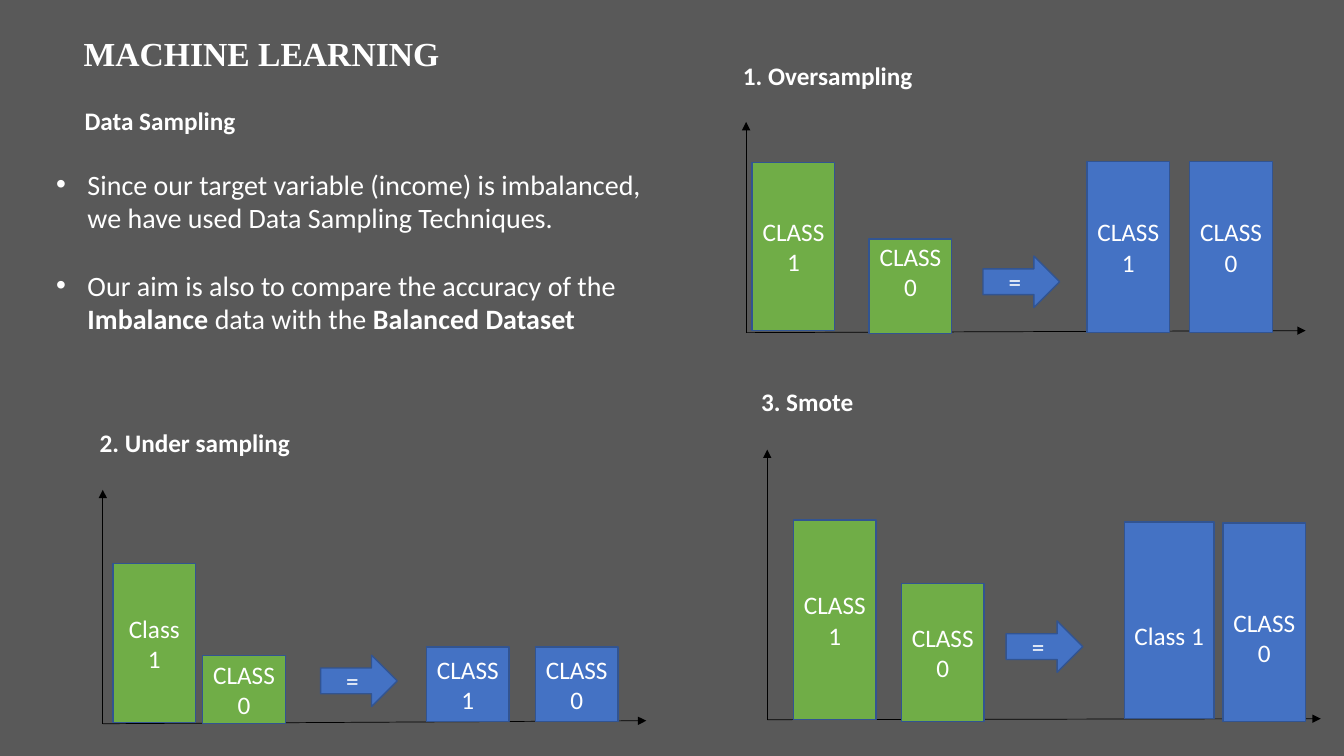
import pptx
import pptx.util
import pptx.dml.color
import pptx.enum.shapes
import pptx.enum.text
from lxml import etree
from pptx.oxml.ns import qn

Inches, Pt = pptx.util.Inches, pptx.util.Pt
RGBColor = pptx.dml.color.RGBColor
MSO_SHAPE = pptx.enum.shapes.MSO_SHAPE
PP_ALIGN = pptx.enum.text.PP_ALIGN
MSO_ANCHOR = pptx.enum.text.MSO_ANCHOR

BACKGROUND = RGBColor(0x59, 0x59, 0x59)
WHITE = RGBColor(0xFF, 0xFF, 0xFF)
BLACK = RGBColor(0, 0, 0)
GREEN = RGBColor(0x70, 0xAD, 0x47)
BLUE = RGBColor(0x44, 0x72, 0xC4)
OUTLINE = RGBColor(0x32, 0x54, 0x91)

TITLE = "MACHINE LEARNING"
SUBTITLE = "Data Sampling"
# Each bullet is a list of (text, bold) runs.
BULLETS = [
    [("Since our target variable (income) is imbalanced, "
      "we have used Data Sampling Techniques.", False)],
    [("Our aim is also to compare the accuracy of the ", False),
     ("Imbalance ", True), ("data with the ", False), ("Balanced Dataset", True)],
]

BAR_WIDTH = 0.82
LABEL_SHIFT = 0.3  # one label line
ARROW_SIZE = (0.76, 0.51)
HEADING_SIZE = (5.8, 0.4)

# Bars: label, colour, left, top, width, height, label lines moved (+ down, - up)
DIAGRAMS = [
    {"heading": ("1. Oversampling", 7.27, 0.55),
     "origin": (7.4, 3.3), "axis_top": 1.21, "axis_end": (12.95, 3.28),
     "arrow": (9.75, 2.54),
     "bars": [("CLASS0", GREEN, 8.62, 2.37, BAR_WIDTH, 0.94, -1),
              ("CLASS1", GREEN, 7.46, 1.61, BAR_WIDTH, 1.67, 0),
              ("CLASS1", BLUE, 10.78, 1.6, BAR_WIDTH, 1.7, 0),
              ("CLASS0", BLUE, 11.8, 1.6, BAR_WIDTH, 1.7, 0)]},
    {"heading": ("2. Under sampling", 0.89, 4.19),
     "origin": (1.02, 7.18), "axis_top": 4.86, "axis_end": (6.41, 7.15),
     "arrow": (3.18, 6.5),
     "bars": [("Class 1", GREEN, 1.12, 5.59, BAR_WIDTH, 1.58, 0),
              ("CLASS0", GREEN, 2.01, 6.5, BAR_WIDTH, 0.68, 0),
              ("CLASS1", BLUE, 4.23, 6.42, BAR_WIDTH, 0.74, 0),
              ("CLASS0", BLUE, 5.31, 6.42, BAR_WIDTH, 0.74, 0)]},
    {"heading": ("3. Smote", 7.45, 3.78),
     "origin": (7.61, 7.14), "axis_top": 4.46, "axis_end": (13.1, 7.13),
     "arrow": (9.98, 6.16),
     "bars": [("CLASS0", BLUE, 12.13, 5.19, BAR_WIDTH, 1.97, 1),
              ("Class 1 ", BLUE, 11.15, 5.18, 0.89, 1.95, 1),
              ("CLASS0", GREEN, 8.94, 5.79, BAR_WIDTH, 1.37, 0),
              ("CLASS1", GREEN, 7.87, 5.16, BAR_WIDTH, 1.98, 0)]},
]


def add_run(paragraph, text, size=18, bold=False, font="Calibri"):
    run = paragraph.add_run()
    run.text = text
    run.font.name = font
    run.font.size = Pt(size)
    run.font.bold = bold
    run.font.color.rgb = WHITE


def add_axis(slide, start, end):
    axis = slide.shapes.add_connector(
        pptx.enum.shapes.MSO_CONNECTOR.STRAIGHT,
        *(Inches(value) for value in (*start, *end)))
    axis.line.color.rgb = BLACK
    axis.line.width = Pt(0.5)
    etree.SubElement(axis.line._get_or_add_ln(), qn("a:tailEnd"), type="triangle")
    etree.SubElement(axis._element.spPr, qn("a:effectLst"))


def add_block(slide, preset, label, colour, left, top, width, height, shift=0):
    """Add a filled, labelled shape; shift moves its label by whole lines."""
    shape = slide.shapes.add_shape(
        preset, *(Inches(value) for value in (left, top, width, height)))
    shape.shadow.inherit = False
    shape.fill.solid()
    shape.fill.fore_color.rgb = colour
    shape.line.color.rgb = OUTLINE
    shape.line.width = Pt(1)
    frame = shape.text_frame
    frame.word_wrap = True
    frame.vertical_anchor = MSO_ANCHOR.MIDDLE
    frame.margin_top = Inches(0.05 + LABEL_SHIFT * max(shift, 0))
    frame.margin_bottom = Inches(0.05 + LABEL_SHIFT * max(-shift, 0))
    paragraph = frame.paragraphs[0]
    paragraph.alignment = PP_ALIGN.CENTER
    add_run(paragraph, label)


def add_text_frame(slide, left, top, width, height):
    box = slide.shapes.add_textbox(
        *(Inches(value) for value in (left, top, width, height)))
    box.text_frame.word_wrap = True
    return box.text_frame


def add_heading(slide, text, left, top, size=HEADING_SIZE):
    frame = add_text_frame(slide, left, top, *size)
    add_run(frame.paragraphs[0], text, bold=True)


def add_title(slide):
    title = slide.shapes.title
    title.left, title.top = Inches(0.73), Inches(0.28)
    title.width, title.height = Inches(6.1), Inches(0.5)
    frame = title.text_frame
    frame.word_wrap = True
    frame.auto_size = pptx.enum.text.MSO_AUTO_SIZE.NONE
    frame.vertical_anchor = MSO_ANCHOR.TOP
    paragraph = frame.paragraphs[0]
    paragraph.alignment = PP_ALIGN.JUSTIFY
    add_run(paragraph, TITLE, 24, True, "Times New Roman")


def add_bullets(slide):
    frame = add_text_frame(slide, 0.46, 1.61, 6.33, 2.46)
    for index, runs in enumerate(BULLETS):
        paragraph = frame.add_paragraph() if index else frame.paragraphs[0]
        properties = paragraph._p.get_or_add_pPr()
        properties.set("marL", str(Inches(0.31)))
        properties.set("indent", str(-Inches(0.31)))
        colour = etree.SubElement(properties, qn("a:buClr"))
        etree.SubElement(colour, qn("a:srgbClr"), val=str(WHITE))
        etree.SubElement(properties, qn("a:buFont"), typeface="Arial")
        etree.SubElement(properties, qn("a:buChar"), char="•")
        if index:
            paragraph.space_before = Pt(24)
        for text, bold in runs:
            add_run(paragraph, text, 20, bold)


def add_diagram(slide, diagram):
    origin = diagram["origin"]
    add_axis(slide, origin, diagram["axis_end"])
    add_axis(slide, origin, (origin[0], diagram["axis_top"]))
    for bar in diagram["bars"]:
        add_block(slide, MSO_SHAPE.RECTANGLE, *bar)
    add_block(slide, MSO_SHAPE.RIGHT_ARROW, "=", BLUE, *diagram["arrow"], *ARROW_SIZE)
    add_heading(slide, *diagram["heading"])


def main():
    presentation = pptx.Presentation()
    presentation.slide_width = Inches(13.33)
    presentation.slide_height = Inches(7.5)
    slide = presentation.slides.add_slide(presentation.slide_layouts[5])
    slide.background.fill.solid()
    slide.background.fill.fore_color.rgb = BACKGROUND
    add_title(slide)
    add_heading(slide, SUBTITLE, 0.74, 1, (3.21, 0.4))
    add_bullets(slide)
    for diagram in DIAGRAMS:
        add_diagram(slide, diagram)
    presentation.save("out.pptx")


if __name__ == "__main__":
    main()
